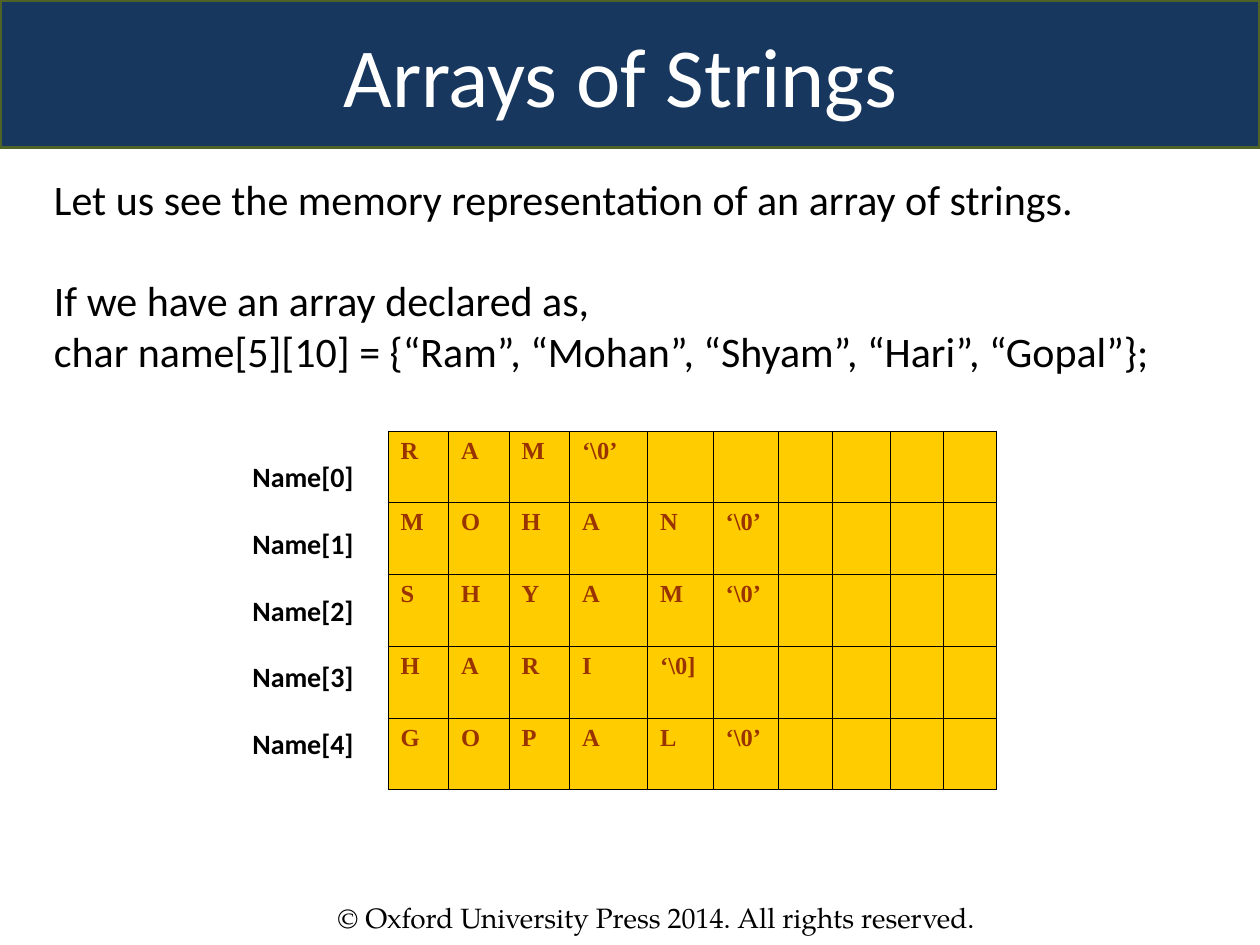
from dataclasses import dataclass

from lxml import etree
from pptx import Presentation
from pptx.dml.color import RGBColor
from pptx.enum.text import MSO_ANCHOR, MSO_AUTO_SIZE, PP_ALIGN
from pptx.oxml.ns import qn
from pptx.util import Inches, Pt

LEFT, CENTER = PP_ALIGN.LEFT, PP_ALIGN.CENTER
TOP, MIDDLE = MSO_ANCHOR.TOP, MSO_ANCHOR.MIDDLE
TITLE_ONLY = 5


@dataclass(frozen=True)
class Theme:
    navy: RGBColor = RGBColor(0x17, 0x37, 0x5E)
    olive: RGBColor = RGBColor(0x4F, 0x62, 0x28)
    gold: RGBColor = RGBColor(0xFF, 0xCC, 0x00)
    rust: RGBColor = RGBColor(0x99, 0x33, 0x00)
    black: RGBColor = RGBColor(0, 0, 0)
    white: RGBColor = RGBColor(0xFF, 0xFF, 0xFF)
    sans: str = "Calibri"
    serif: str = "Times New Roman"
    book: str = "TeX Gyre Pagella"
    title_size: int = 48
    body_size: int = 24
    label_size: int = 16
    cell_size: int = 14


THEME = Theme()

TITLE_FONT = {"name": THEME.sans, "size": Pt(THEME.title_size), "color": THEME.white}
BODY_FONT = {"name": THEME.sans, "size": Pt(THEME.body_size), "color": THEME.black}
LABEL_FONT = {"name": THEME.sans, "size": Pt(THEME.label_size),
              "color": THEME.black, "bold": True}
CELL_FONT = {"name": THEME.serif, "size": Pt(THEME.cell_size),
             "color": THEME.rust, "bold": True}
FOOTER_FONT = {"name": THEME.book, "size": Pt(THEME.label_size), "color": THEME.black}

# Each paragraph is its text and the space before it in points
BODY = [
    ("Let us see the memory representation of an array of strings.", 0),
    ("If we have an array declared as,", 29),
    ("char name[5][10] = {“Ram”, “Mohan”, “Shyam”, “Hari”, “Gopal”};", 0),
]
MEMORY_ROWS = [
    [*"RAM", "‘\\0’"],
    [*"MOHAN", "‘\\0’"],
    [*"SHYAM", "‘\\0’"],
    [*"HARI", "‘\\0]"],
    [*"GOPAL", "‘\\0’"],
]
COLUMN_WIDTHS = [0.48, 0.48, 0.48, 0.62, 0.52, 0.52, 0.43, 0.46, 0.42, 0.42]
LABELS = [(f"Name[{index}]", 19 if index else 0) for index in range(len(MEMORY_ROWS))]


def format_font(font, values):
    for name, value in values.items():
        if name == "color":
            font.color.rgb = value
        else:
            setattr(font, name, value)


def write_paragraphs(frame, paragraphs, font, align=LEFT, anchor=TOP):
    settings = {"word_wrap": True, "auto_size": MSO_AUTO_SIZE.NONE,
                "vertical_anchor": anchor}
    for name, value in settings.items():
        setattr(frame, name, value)
    for index, (text, space) in enumerate(paragraphs):
        para = frame.add_paragraph() if index else frame.paragraphs[0]
        para.alignment = align
        para.space_before = Pt(space)
        span = para.add_run()
        span.text = text
        format_font(span.font, font)


def place(shape, box):
    for name, value in zip(("left", "top", "width", "height"), box):
        setattr(shape, name, Inches(value))


def add_title(page, box):
    title = page.shapes.title
    place(title, box)
    title.fill.solid()
    title.fill.fore_color.rgb = THEME.navy
    title.line.color.rgb = THEME.olive
    title.line.width = Pt(2)
    write_paragraphs(title.text_frame, [("Arrays of Strings ", 0)],
                     TITLE_FONT, CENTER, MIDDLE)


def add_text(page, box, paragraphs, font, align=LEFT, anchor=TOP):
    shape = page.shapes.add_textbox(*map(Inches, box))
    write_paragraphs(shape.text_frame, paragraphs, font, align, anchor)


def add_borders(cell, color, width):
    properties = cell._tc.get_or_add_tcPr()
    for index, side in enumerate(("lnL", "lnR", "lnT", "lnB")):
        line = etree.Element(qn(f"a:{side}"), w=str(int(width)))
        fill = etree.SubElement(line, qn("a:solidFill"))
        etree.SubElement(fill, qn("a:srgbClr"), val=str(color))
        properties.insert(index, line)


def add_memory_table(page, box):
    row_count, column_count = len(MEMORY_ROWS), len(COLUMN_WIDTHS)
    table = page.shapes.add_table(row_count, column_count, *map(Inches, box)).table
    for column, width in zip(table.columns, COLUMN_WIDTHS):
        column.width = Inches(width)
    for row, symbols in zip(table.rows, MEMORY_ROWS):
        row.height = Inches(box[3] / row_count)
        for index, cell in enumerate(row.cells):
            cell.fill.solid()
            cell.fill.fore_color.rgb = THEME.gold
            add_borders(cell, THEME.black, Pt(0.45))
            if index < len(symbols):
                span = cell.text_frame.paragraphs[0].add_run()
                span.text = symbols[index]
                format_font(span.font, CELL_FONT)


def main():
    deck = Presentation()
    deck.slide_width, deck.slide_height = Inches(10), Inches(7.5)
    page = deck.slides.add_slide(deck.slide_layouts[TITLE_ONLY])

    # Title band and introduction
    add_title(page, (0, 0, 10, 1.17))
    add_text(page, (0.33, 1.33, 9.33, 1.7), BODY, BODY_FONT)

    # Memory layout with its row labels
    add_memory_table(page, (3.08, 3.42, sum(COLUMN_WIDTHS), 2.85))
    add_text(page, (1.83, 3.59, 1.15, 2.5), LABELS, LABEL_FONT, CENTER, MIDDLE)

    # Copyright line
    add_text(page, (2.58, 7.1, 5.92, 0.37),
             [("© Oxford University Press 2014. All rights reserved.", 0)], FOOTER_FONT)

    deck.save("out.pptx")


if __name__ == "__main__":
    main()
